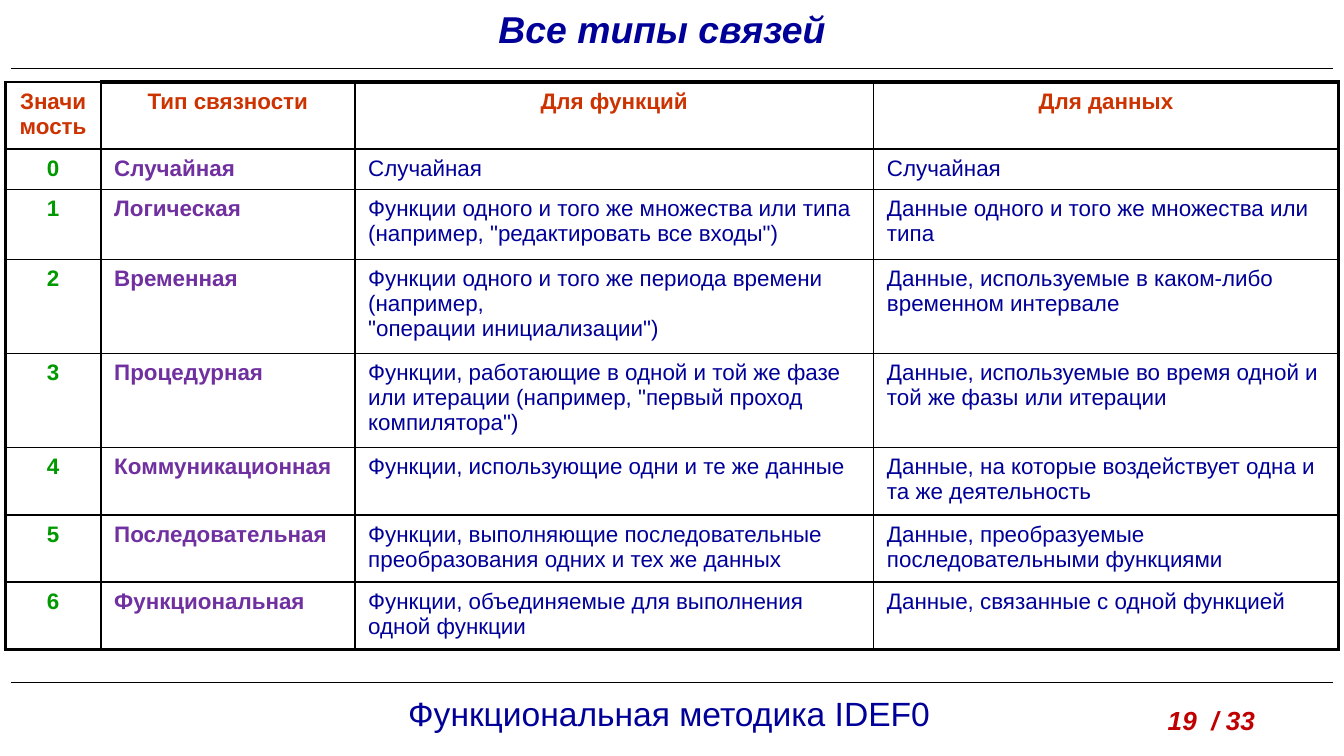
from pptx import Presentation
from pptx.dml.color import RGBColor
from pptx.enum.shapes import MSO_CONNECTOR as Connector
from pptx.enum.text import MSO_ANCHOR as Anchor, PP_ALIGN as Align
from pptx.oxml import parse_xml
from pptx.oxml.ns import nsdecls
from pptx.util import Inches, Pt

# Content
TITLE = "Все типы связей "
FOOTER = "Функциональная методика IDEF0"
PAGE = "19  / 33"
HEADER = ("Значимость", "Тип связности", "Для функций", "Для данных")
LINKS = [
    ("Случайная", "Случайная", "Случайная"),
    ("Логическая",
     'Функции одного и того же множества или типа (например, "редактировать все входы")',
     "Данные одного и того же множества или типа"),
    ("Временная",
     'Функции одного и того же периода времени (например, \v"операции инициализации")',
     "Данные, используемые в каком-либо временном интервале"),
    ("Процедурная",
     'Функции, работающие в одной и той же фазе или итерации (например, "первый проход компилятора")',
     "Данные, используемые во время одной и той же фазы или итерации"),
    ("Коммуникационная",
     "Функции, использующие одни и те же данные",
     "Данные, на которые воздействует одна и та же деятельность"),
    ("Последовательная",
     "Функции, выполняющие последовательные преобразования одних и тех же данных",
     "Данные, преобразуемые последовательными функциями"),
    ("Функциональная",
     "Функции, объединяемые для выполнения одной функции",
     "Данные, связанные с одной функцией"),
]
ROWS = [HEADER] + [(str(rank), *link) for rank, link in enumerate(LINKS)]
COLUMN_WIDTHS = (0.71, 1.89, 3.86, 3.46)
ROW_HEIGHTS = (0.5, 0.3, 0.52, 0.7, 0.7, 0.5, 0.5, 0.5)

THEME = {
    "font": "Arial",
    "line": "000000", "text": "000099", "page": "C00000", "header": "CC3300",
    "rank": "009900", "type": "7030A0",
    "title_size": 20, "footer_size": 18, "page_size": 14, "table_size": 12,
    "rule": 0.75, "inner": 1, "outer": 2.25,
}
# Colour, bold and alignment of each body column
COLUMN_STYLES = [
    ("rank", True, Align.CENTER), ("type", True, Align.LEFT),
    ("text", False, Align.LEFT), ("text", False, Align.LEFT),
]


def format_text(text_frame, size, color, bold=False, italic=False, align=Align.LEFT):
    text_frame.word_wrap = True
    for paragraph in text_frame.paragraphs:
        paragraph.alignment = align
        for run in paragraph.runs:
            font = run.font
            font.name, font.size = THEME["font"], Pt(THEME[size])
            font.bold, font.italic = bold, italic
            font.color.rgb = RGBColor.from_string(THEME[color])


def add_text(slide, text, box, size, color, **style):
    shape = slide.shapes.add_textbox(*map(Inches, box))
    shape.text_frame.text = text
    format_text(shape.text_frame, size, color, **style)


def add_rule(slide, y):
    rule = slide.shapes.add_connector(
        Connector.STRAIGHT, Inches(0.08), Inches(y), Inches(9.92), Inches(y))
    rule.line.color.rgb = RGBColor.from_string(THEME["line"])
    rule.line.width = Pt(THEME["rule"])
    rule._element.spPr.append(parse_xml(f"<a:effectLst {nsdecls('a')}/>"))


def set_borders(cell, widths):
    properties = cell._tc.get_or_add_tcPr()
    for index, (side, width) in enumerate(widths.items()):
        properties.insert(index, parse_xml(
            f'<a:ln{side} {nsdecls("a")} w="{Pt(width)}"><a:solidFill>'
            f'<a:srgbClr val="{THEME["line"]}"/></a:solidFill></a:ln{side}>'))


def add_link_table(slide):
    frame = slide.shapes.add_table(
        len(ROWS), len(HEADER), Inches(0.04), Inches(0.61),
        Inches(sum(COLUMN_WIDTHS)), Inches(sum(ROW_HEIGHTS)))
    table = frame.table
    table.first_row = table.horz_banding = False
    for column, width in zip(table.columns, COLUMN_WIDTHS):
        column.width = Inches(width)
    for row, height in zip(table.rows, ROW_HEIGHTS):
        row.height = Inches(height)

    last_row, last_column = len(ROWS) - 1, len(HEADER) - 1
    inner, outer = THEME["inner"], THEME["outer"]
    for r, texts in enumerate(ROWS):
        for c, text in enumerate(texts):
            cell = table.cell(r, c)
            cell.text_frame.text = text
            cell.vertical_anchor = Anchor.TOP
            cell.fill.background()
            color, bold, align = COLUMN_STYLES[c] if r else ("header", True, Align.CENTER)
            format_text(cell.text_frame, "table_size", color, bold=bold, align=align)
            # Thick outer frame, except above the first header cell
            set_borders(cell, {
                "L": outer if c == 0 else inner,
                "R": outer if c == last_column else inner,
                "T": outer if r == 0 and c > 0 else inner,
                "B": outer if r == last_row else inner,
            })


def main():
    presentation = Presentation()
    # Widescreen 16:9
    presentation.slide_width = Inches(10)
    presentation.slide_height = Inches(10) * 9 // 16
    slide = presentation.slides.add_slide(presentation.slide_layouts[6])

    # Footer, rules and page number
    add_text(slide, FOOTER, (1.25, 5.11, 7.46, 0.4), "footer_size", "text", align=Align.CENTER)
    for y in (5.08, 0.51):
        add_rule(slide, y)
    add_text(slide, PAGE, (8.59, 5.19, 1.02, 0.34), "page_size", "page", bold=True, italic=True)

    # Title and table
    add_text(slide, TITLE, (0.12, 0, 9.69, 0.53), "title_size", "text",
             bold=True, italic=True, align=Align.CENTER)
    add_link_table(slide)
    presentation.save("out.pptx")


if __name__ == "__main__":
    main()
